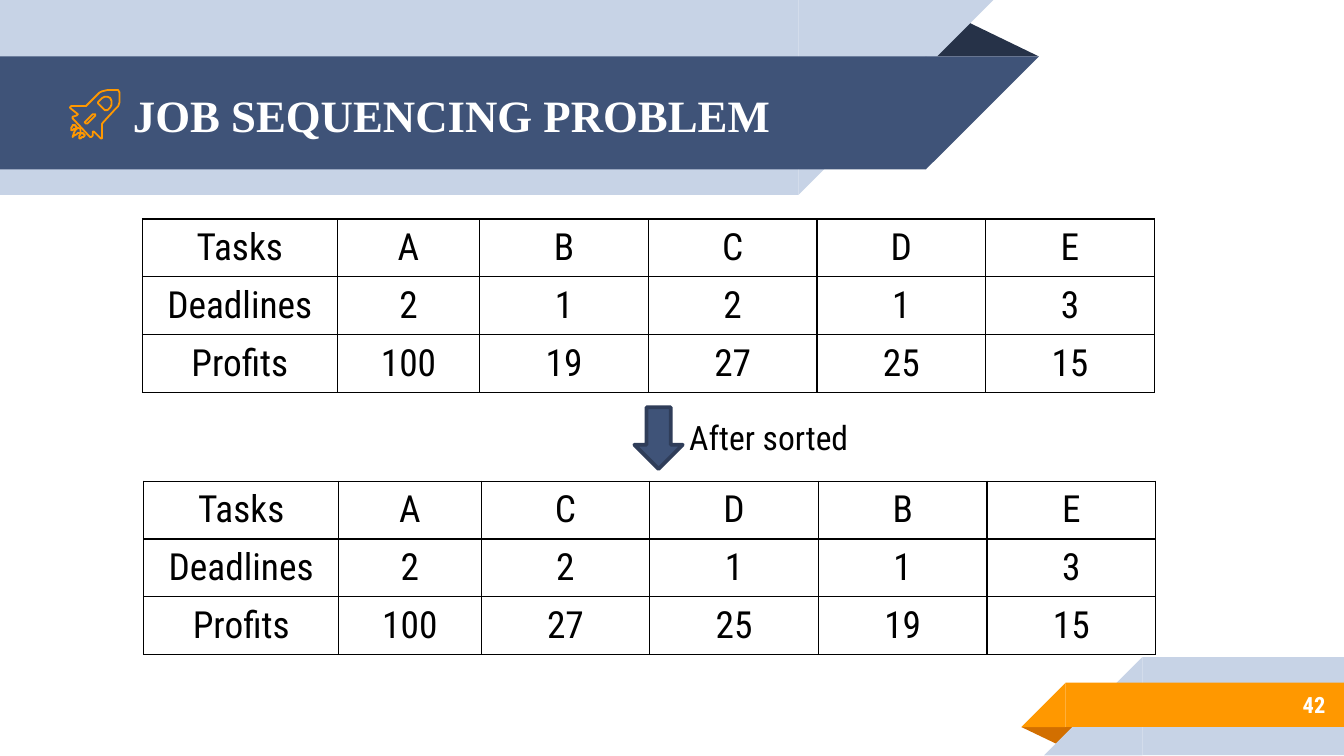
from dataclasses import dataclass

from lxml import etree
from pptx import Presentation
from pptx.dml.color import RGBColor
from pptx.enum.shapes import MSO_SHAPE
from pptx.enum.text import MSO_ANCHOR, PP_ALIGN
from pptx.oxml.ns import qn
from pptx.shapes.autoshape import Shape
from pptx.slide import Slide
from pptx.table import _Cell
from pptx.text.text import _Paragraph
from pptx.util import Inches, Pt

RECTANGLE = MSO_SHAPE.RECTANGLE
RIGHT_TRIANGLE = MSO_SHAPE.RIGHT_TRIANGLE
TRIANGLE = MSO_SHAPE.ISOSCELES_TRIANGLE
RIGHT_ARROW = MSO_SHAPE.RIGHT_ARROW
MIDDLE, TOP = MSO_ANCHOR.MIDDLE, MSO_ANCHOR.TOP
LEFT, CENTER, RIGHT = PP_ALIGN.LEFT, PP_ALIGN.CENTER, PP_ALIGN.RIGHT


@dataclass(frozen=True)
class Theme:
    navy: str = "3F5378"
    navy_edge: str = "2F3D59"
    navy_fold: str = "263248"
    pale: str = "C7D3E6"
    orange: str = "FF9800"
    orange_fold: str = "D26F00"
    white: str = "FFFFFF"
    black: str = "000000"
    heading_font: str = "Times New Roman"
    body_font: str = "Roboto Condensed"
    title_size: int = 24
    table_size: int = 20
    note_size: int = 18
    number_size: int = 12


THEME = Theme()


@dataclass(frozen=True)
class Block:
    kind: MSO_SHAPE
    left: float
    top: float
    width: float
    height: float
    color: str
    rotation: int = 0
    flipped: bool = False
    apex: float | None = None


@dataclass(frozen=True)
class Label:
    text: str
    left: float
    top: float
    width: float
    height: float
    font: str
    size: int
    color: str
    bold: bool = False
    align: PP_ALIGN = LEFT
    anchor: MSO_ANCHOR = MIDDLE
    inset: tuple[float, float] = (0.1, 0.1)


@dataclass(frozen=True)
class Job:
    task: str
    deadline: int
    profit: int


Point = tuple[int, int]

PAGE_WIDTH = 10
PAGE_HEIGHT = PAGE_WIDTH * 9 / 16

TITLE_FOLD = Block(TRIANGLE, 6.88, 0.14, 0.85, 0.28, THEME.navy_fold, apex=0.32)
FOOTER_FOLD = Block(TRIANGLE, 7.6, 5.41, 0.43, 0.14, THEME.orange_fold, 180, apex=0.32)
TITLE_RIBBONS = [(0, 5.94, 1.45, THEME.pale), (0.42, 6.89, 0.84, THEME.navy)]
FOOTER_RIBBONS = [(4.89, 8.5, 0.73, THEME.pale), (5.08, 7.93, 0.33, THEME.orange)]

LABELS = [
    Label("JOB SEQUENCING PROBLEM", 0.89, 0.43, 6.19, 0.84, THEME.heading_font,
          THEME.title_size, THEME.white, bold=True),
    Label("42", 8.33, 5.07, 1.63, 0.35, THEME.body_font,
          THEME.number_size, THEME.white, bold=True, align=RIGHT),
    Label("After sorted", 5.03, 3.05, 1.63, 0.4, THEME.body_font,
          THEME.note_size, THEME.black, anchor=TOP, inset=(0.1, 0.05)),
]

JOBS = [Job("A", 2, 100), Job("B", 1, 19), Job("C", 2, 27), Job("D", 1, 25), Job("E", 3, 15)]
TABLE_WIDTH = 7.53
LEAD_WIDTHS = [1.45, 1.06]
COLUMN_WIDTHS = LEAD_WIDTHS + [(TABLE_WIDTH - sum(LEAD_WIDTHS)) / 4] * 4
ROW_HEIGHT = 0.43

ROCKET_UNIT = Inches(0.01)
ROCKET_HULL = [(76, 102), (76, 92), (86, 81), (88, 79), (89, 76), (89, 69), (88, 67),
               (86, 67), (80, 67), (76, 68), (74, 69), (64, 79), (53, 79), (52, 80),
               (53, 81), (58, 85), (57, 86), (54, 87), (54, 88), (67, 102), (68, 102),
               (69, 101), (69, 98), (70, 98), (75, 103), (76, 103)]
ROCKET_SLOT = [(65, 92), (64, 92), (63, 91), (64, 90), (69, 85), (70, 85), (71, 85),
               (71, 86), (70, 87)]
ROCKET_WINDOW = [(80, 82), (79, 82), (78, 82), (74, 78), (73, 77), (73, 76), (74, 75),
                 (76, 73), (78, 72), (80, 72), (82, 73), (83, 75), (83, 78), (82, 80)]
MAIN_FLAME = [(60, 96), (58, 95), (57, 96), (56, 97), (55, 99), (54, 102), (55, 101),
              (57, 100), (58, 99), (60, 99), (60, 98)]
SIDE_FLAME = [(62, 100), (62, 99), (60, 99), (60, 100), (59, 101), (59, 103), (60, 103),
              (61, 102), (62, 102), (63, 101), (63, 100)]
UPPER_FLAME = [(x - 6, y - 6) for x, y in SIDE_FLAME]


def rgb(color: str) -> RGBColor:
    return RGBColor.from_string(color)


def draw_block(page: Slide, block: Block) -> Shape:
    shape = page.shapes.add_shape(block.kind, Inches(block.left), Inches(block.top),
                                  Inches(block.width), Inches(block.height))
    shape.shadow.inherit = False
    shape.fill.solid()
    shape.fill.fore_color.rgb = rgb(block.color)
    shape.line.fill.background()
    shape.rotation = block.rotation
    if block.flipped:
        shape._element.spPr.find(qn("a:xfrm")).set("flipH", "1")
    if block.apex is not None:
        shape.adjustments[0] = block.apex
    return shape


def draw_ribbons(page: Slide) -> None:
    draw_block(page, TITLE_FOLD)
    for top, width, height, color in TITLE_RIBBONS:
        draw_block(page, Block(RECTANGLE, 0, top, width, height, color, 180, True))
        draw_block(page, Block(RIGHT_TRIANGLE, width, top, height, height, color, 180, True))
    draw_block(page, FOOTER_FOLD)
    for top, left, height, color in FOOTER_RIBBONS:
        draw_block(page, Block(RECTANGLE, left, top, PAGE_WIDTH - left, height, color,
                               flipped=True))
        draw_block(page, Block(RIGHT_TRIANGLE, left - height, top, height, height, color,
                               flipped=True))


def draw_outline(page: Slide, contours: list[list[Point]]) -> None:
    first = contours[0]
    builder = page.shapes.build_freeform(*first[0], scale=ROCKET_UNIT)
    builder.add_line_segments(first[1:], close=True)
    for contour in contours[1:]:
        builder.move_to(*contour[0])
        builder.add_line_segments(contour[1:], close=True)
    shape = builder.convert_to_shape()
    shape.shadow.inherit = False
    shape.fill.background()
    shape.line.color.rgb = rgb(THEME.orange)
    shape.line.width = Pt(0.96)


def add_span(para: _Paragraph, text: str, font: str, size: int, color: str,
             bold: bool = False) -> None:
    span = para.add_run()
    span.text = text
    span.font.name = font
    span.font.size = Pt(size)
    span.font.bold = bold
    span.font.color.rgb = rgb(color)


def draw_label(page: Slide, label: Label) -> None:
    box = page.shapes.add_textbox(Inches(label.left), Inches(label.top),
                                  Inches(label.width), Inches(label.height))
    frame = box.text_frame
    frame.word_wrap = True
    frame.vertical_anchor = label.anchor
    frame.margin_left = frame.margin_right = Inches(label.inset[0])
    frame.margin_top = frame.margin_bottom = Inches(label.inset[1])
    para = frame.paragraphs[0]
    para.alignment = label.align
    add_span(para, label.text, label.font, label.size, label.color, label.bold)


def add_borders(cell: _Cell) -> None:
    properties = cell._tc.get_or_add_tcPr()
    for side in ("lnL", "lnR", "lnT", "lnB"):
        line = etree.SubElement(properties, qn(f"a:{side}"), w=str(Pt(0.75)))
        fill = etree.SubElement(line, qn("a:solidFill"))
        etree.SubElement(fill, qn("a:srgbClr"), val=THEME.black)


def draw_jobs(page: Slide, left: float, top: float, jobs: list[Job]) -> None:
    rows = [["Tasks"] + [job.task for job in jobs],
            ["Deadlines"] + [str(job.deadline) for job in jobs],
            ["Profits"] + [str(job.profit) for job in jobs]]
    table = page.shapes.add_table(len(rows), len(COLUMN_WIDTHS), Inches(left), Inches(top),
                                  Inches(TABLE_WIDTH), Inches(ROW_HEIGHT * len(rows))).table
    table.first_row = table.horz_banding = False
    for column, width in zip(table.columns, COLUMN_WIDTHS):
        column.width = Inches(width)
    for row_index, values in enumerate(rows):
        table.rows[row_index].height = Inches(ROW_HEIGHT)
        for column_index, value in enumerate(values):
            cell = table.cell(row_index, column_index)
            add_borders(cell)
            cell.fill.background()
            para = cell.text_frame.paragraphs[0]
            para.alignment = CENTER
            add_span(para, value, THEME.body_font, THEME.table_size, THEME.black)


def main() -> None:
    deck = Presentation()
    deck.slide_width, deck.slide_height = Inches(PAGE_WIDTH), Inches(PAGE_HEIGHT)
    page = deck.slides.add_slide(deck.slide_layouts[6])
    draw_ribbons(page)
    for contours in ([ROCKET_HULL, ROCKET_SLOT, ROCKET_WINDOW],
                     [MAIN_FLAME], [SIDE_FLAME], [UPPER_FLAME]):
        draw_outline(page, contours)
    draw_jobs(page, 1.06, 1.63, JOBS)
    draw_jobs(page, 1.07, 3.58, sorted(JOBS, key=lambda job: -job.profit))
    arrow = draw_block(page, Block(RIGHT_ARROW, 4.67, 3.08, 0.46, 0.36, THEME.navy, 90))
    arrow.line.color.rgb = rgb(THEME.navy_edge)
    arrow.line.width = Pt(2)
    for label in LABELS:
        draw_label(page, label)
    deck.save("out.pptx")


if __name__ == "__main__":
    main()
